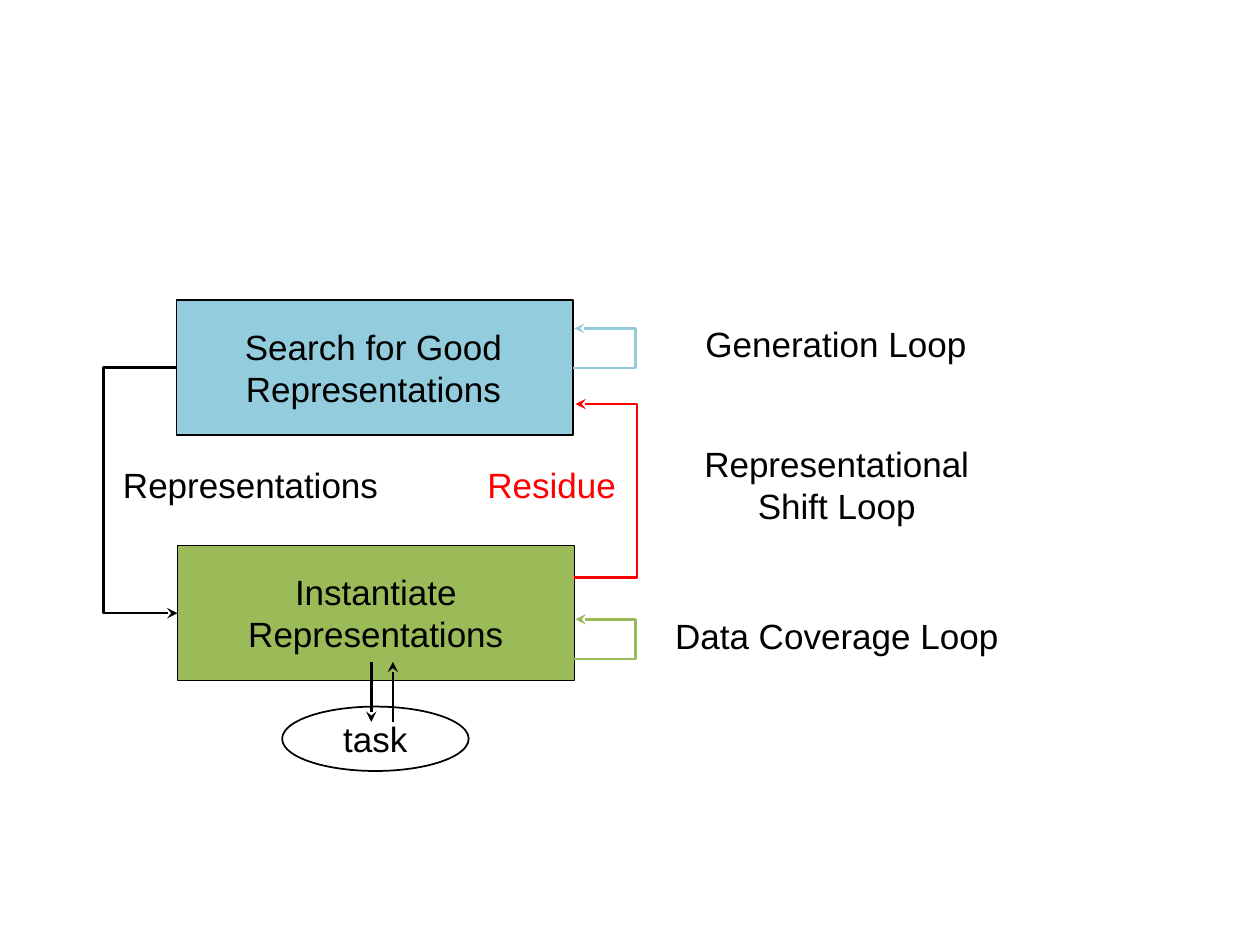
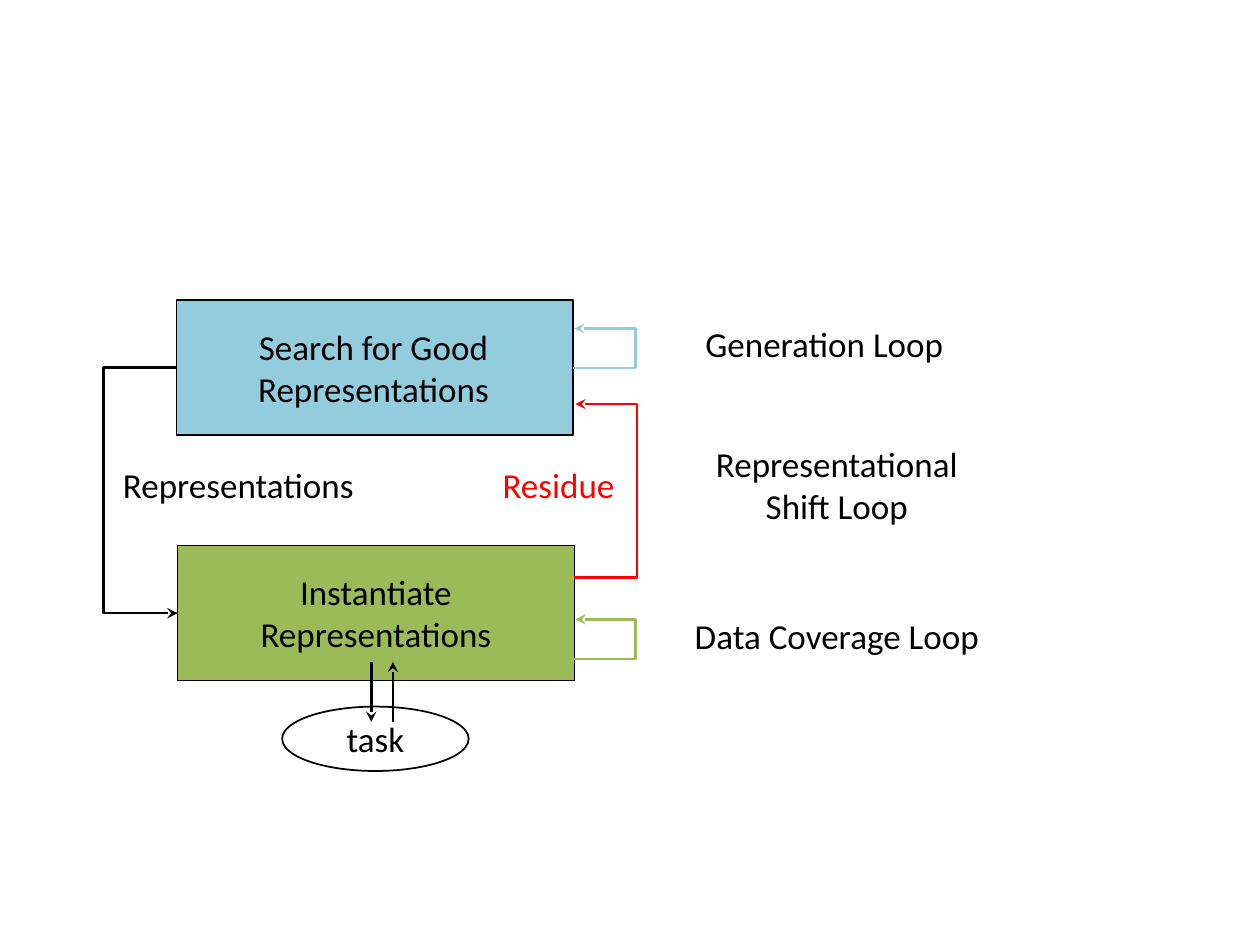
from dataclasses import dataclass

from lxml import etree
from pptx import Presentation
from pptx.dml.color import RGBColor
from pptx.enum import shapes, text
from pptx.oxml import ns
from pptx.shapes.autoshape import Shape
from pptx.shapes.connector import Connector
from pptx.slide import Slide
from pptx.util import Pt

BLACK = RGBColor(0x00, 0x00, 0x00)
RED = RGBColor(0xFF, 0x00, 0x00)
BLUE = RGBColor(0x93, 0xCD, 0xDD)
GREEN = RGBColor(0x9B, 0xBB, 0x59)

RECTANGLE = shapes.MSO_SHAPE.RECTANGLE
OVAL = shapes.MSO_SHAPE.OVAL
LEFT, CENTER = text.PP_ALIGN.LEFT, text.PP_ALIGN.CENTER
TOP, MIDDLE = text.MSO_ANCHOR.TOP, text.MSO_ANCHOR.MIDDLE
FIT, NO_FIT = text.MSO_AUTO_SIZE.SHAPE_TO_FIT_TEXT, text.MSO_AUTO_SIZE.NONE

TEXT_SIZE = 20
LINE_WIDTH = 1.5
PADDING = 14.4
LABEL_PADDING = 7.2
LINE_HEIGHT = 24
LABEL_MARGIN = 7.5


@dataclass(frozen=True)
class Stage:
    """A step of the process, drawn as a filled or outlined shape."""
    wording: str
    kind: shapes.MSO_SHAPE
    left: float
    top: float
    width: float
    height: float
    fill: RGBColor | None
    outline: float
    side_padding: tuple[float, float]
    anchor: text.MSO_ANCHOR
    fit: text.MSO_AUTO_SIZE


@dataclass(frozen=True)
class Label:
    """Text held at x; share is the part of its width that lies left of x."""
    wording: str
    x: float
    top: float
    share: float
    widths: dict[str, float]
    color: RGBColor = BLACK


@dataclass(frozen=True)
class Arrow:
    """A line from start to end; turn is the x of its upright part if it bends."""
    start: tuple[float, float]
    end: tuple[float, float]
    color: RGBColor = BLACK
    turn: float | None = None
    tip: str = "tailEnd"


STAGES = [
    Stage("Instantiate\nRepresentations", RECTANGLE, 101.4, 311.7, 226.8, 77.1,
          GREEN, 0.75, (7.2, 7.2), TOP, FIT),
    Stage("Search for Good Representations", RECTANGLE, 100.7, 171.5, 226.8, 77.1,
          BLUE, 0.75, (5.76, 7.2), TOP, FIT),
    Stage("task", OVAL, 161.2, 403.8, 106.6, 36.8,
          None, 1, (PADDING, PADDING), MIDDLE, NO_FIT),
]

LABELS = [
    Label("Representations", 63.2, 261.4, 0, {"Arial": 161.3, "Calibri": 148.3}),
    Label("Residue", 360, 261.4, 1, {"Arial": 88.6, "Calibri": 79.9}, RED),
    Label("Generation Loop", 396, 180.5, 0, {"Arial": 164.9, "Calibri": 154.1}),
    Label("Representational\nShift Loop", 478.2, 249.4, 0.5,
          {"Arial": 167, "Calibri": 154.8}),
    Label("Data Coverage Loop", 478.2, 347.8, 0.5, {"Arial": 200.9, "Calibri": 185}),
]

ARROWS = [
    Arrow((100.7, 210), (101.4, 350.4), turn=59.7),
    Arrow((328.9, 230.9), (328.2, 330), RED, 363.7, "headEnd"),
    Arrow((328.2, 187.7), (327.5, 210.4), BLUE, 362.8, "headEnd"),
    Arrow((328.9, 353.9), (328.2, 376.5), GREEN, 362.8, "headEnd"),
    Arrow((212.2, 378.2), (212.2, 412.5)),
    Arrow((224.5, 412.5), (224.5, 378.2)),
]


def write_text(shape: Shape, wording: str, font: str, color: RGBColor,
               align: text.PP_ALIGN, frame_format: dict) -> None:
    frame = shape.text_frame
    frame.text = wording
    for name, value in frame_format.items():
        setattr(frame, name, value)
    for para in frame.paragraphs:
        para.alignment = align
        para.font.color.rgb = color
        for name, value in {"name": font, "size": Pt(TEXT_SIZE)}.items():
            setattr(para.font, name, value)
            for span in para.runs:
                setattr(span.font, name, value)
        for span in para.runs:
            span.font.color.rgb = color


def draw_stage(page: Slide, stage: Stage, font: str) -> None:
    box = page.shapes.add_shape(stage.kind, Pt(stage.left), Pt(stage.top),
                                Pt(stage.width), Pt(stage.height))
    box.shadow.inherit = False
    if stage.fill is None:
        box.fill.background()
    else:
        box.fill.solid()
        box.fill.fore_color.rgb = stage.fill
    box.line.color.rgb = BLACK
    box.line.width = Pt(stage.outline)
    left, right = stage.side_padding
    write_text(box, stage.wording, font, BLACK, CENTER, {
        "margin_left": Pt(left), "margin_right": Pt(right),
        "margin_top": Pt(PADDING), "margin_bottom": Pt(PADDING),
        "vertical_anchor": stage.anchor, "word_wrap": True, "auto_size": stage.fit,
    })


def draw_label(page: Slide, label: Label, font: str) -> None:
    width = label.widths[font]
    height = LINE_HEIGHT * (label.wording.count("\n") + 1) + LABEL_MARGIN
    box = page.shapes.add_textbox(Pt(label.x - label.share * width), Pt(label.top),
                                  Pt(width), Pt(height))
    write_text(box, label.wording, font, label.color,
               CENTER if label.share == 0.5 else LEFT, {
                   "margin_left": Pt(LABEL_PADDING), "margin_right": Pt(LABEL_PADDING),
                   "word_wrap": False, "auto_size": FIT,
               })


def bend(line: Connector, arrow: Arrow) -> None:
    """Place the upright part of an elbow line at the arrow's turn."""
    ratio = (arrow.turn - arrow.start[0]) / (arrow.end[0] - arrow.start[0])
    geometry = line._element.spPr.find(ns.qn("a:prstGeom"))
    guides = geometry.find(ns.qn("a:avLst"))
    if guides is None:
        guides = etree.SubElement(geometry, ns.qn("a:avLst"))
    etree.SubElement(guides, ns.qn("a:gd"), name="adj1", fmla=f"val {round(ratio * 100000)}")


def draw_arrow(page: Slide, arrow: Arrow) -> None:
    kinds = shapes.MSO_CONNECTOR
    kind = kinds.STRAIGHT if arrow.turn is None else kinds.ELBOW
    line = page.shapes.add_connector(kind, *map(Pt, arrow.start + arrow.end))
    line.line.color.rgb = arrow.color
    line.line.width = Pt(LINE_WIDTH)
    if arrow.turn is not None:
        bend(line, arrow)
    properties = line._element.spPr
    etree.SubElement(properties.find(ns.qn("a:ln")), ns.qn(f"a:{arrow.tip}"), type="stealth")
    etree.SubElement(properties, ns.qn("a:effectLst"))


def draw_page(page: Slide, font: str) -> None:
    for stage in STAGES:
        draw_stage(page, stage, font)
    for label in LABELS:
        draw_label(page, label, font)
    for arrow in ARROWS:
        draw_arrow(page, arrow)


def main() -> None:
    deck = Presentation()
    deck.slide_width, deck.slide_height = Pt(720), Pt(540)
    blank = deck.slide_layouts[6]
    for font in ("Arial", "Calibri"):
        draw_page(deck.slides.add_slide(blank), font)
    deck.save("out.pptx")


if __name__ == "__main__":
    main()
